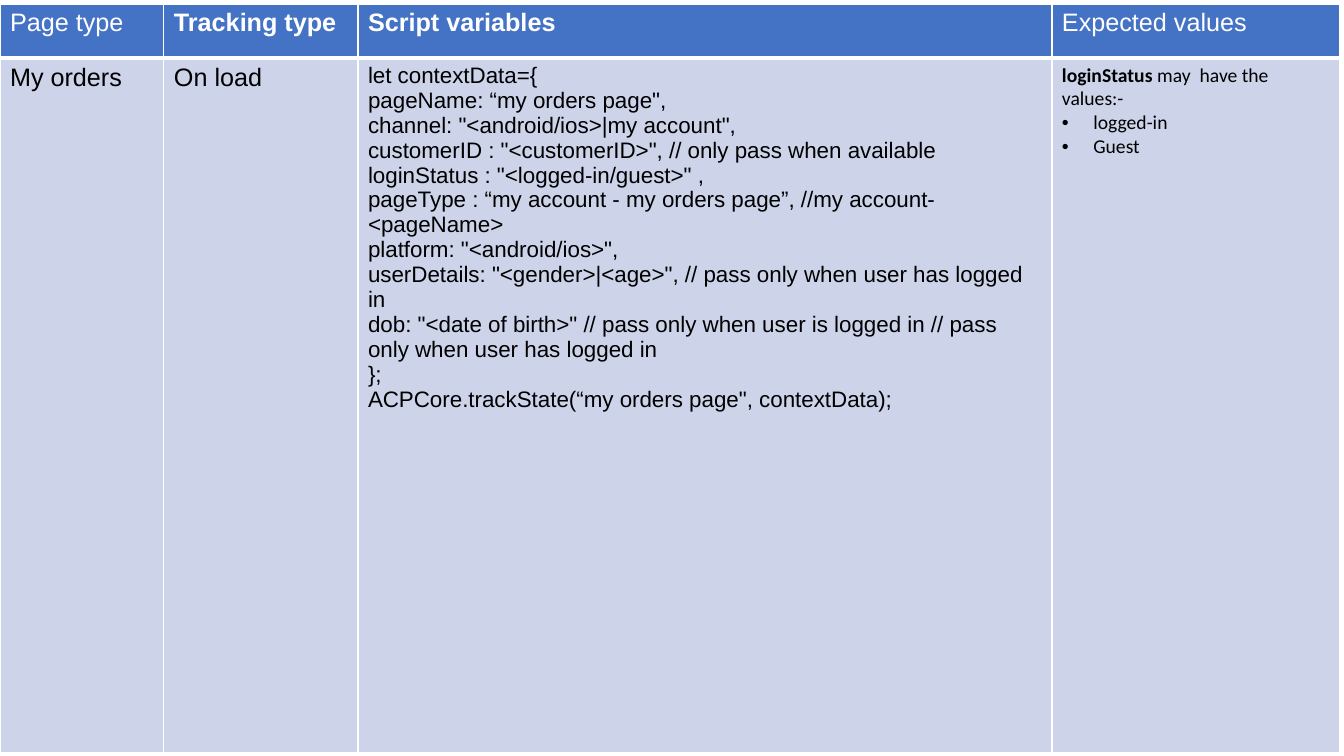
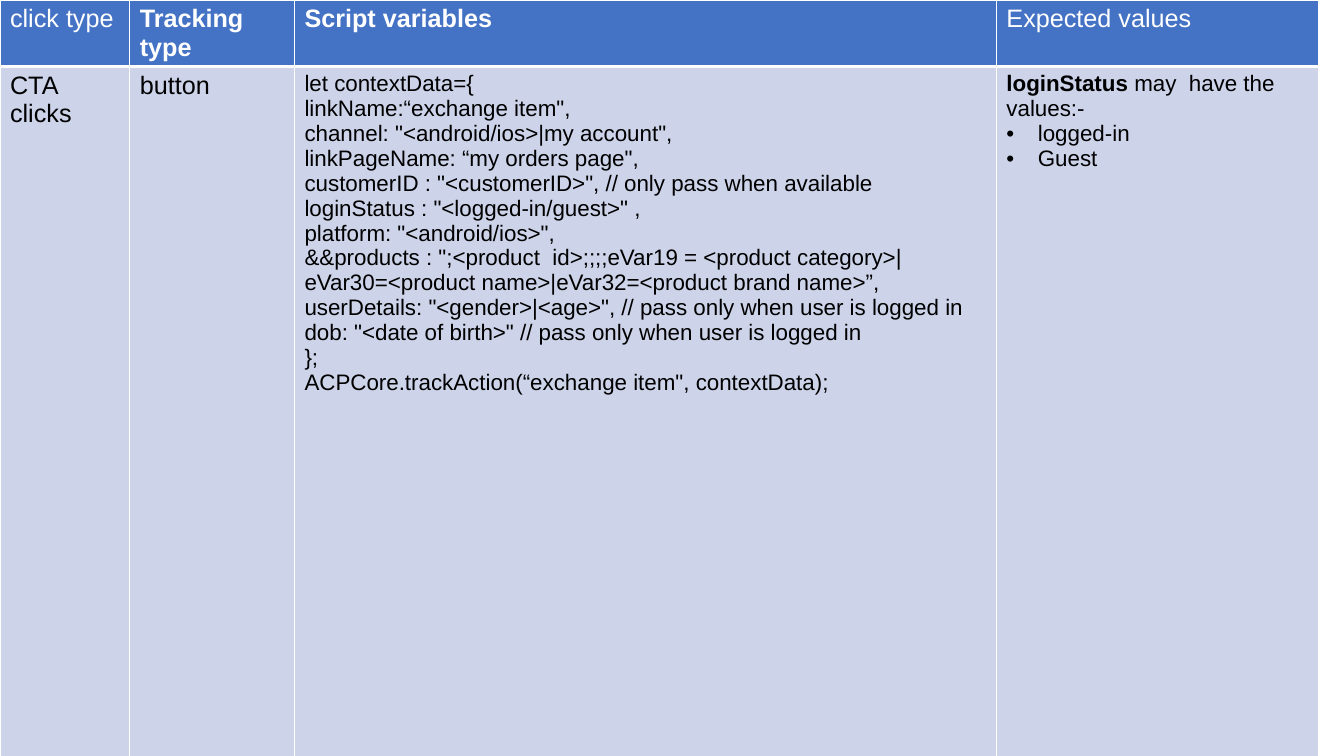
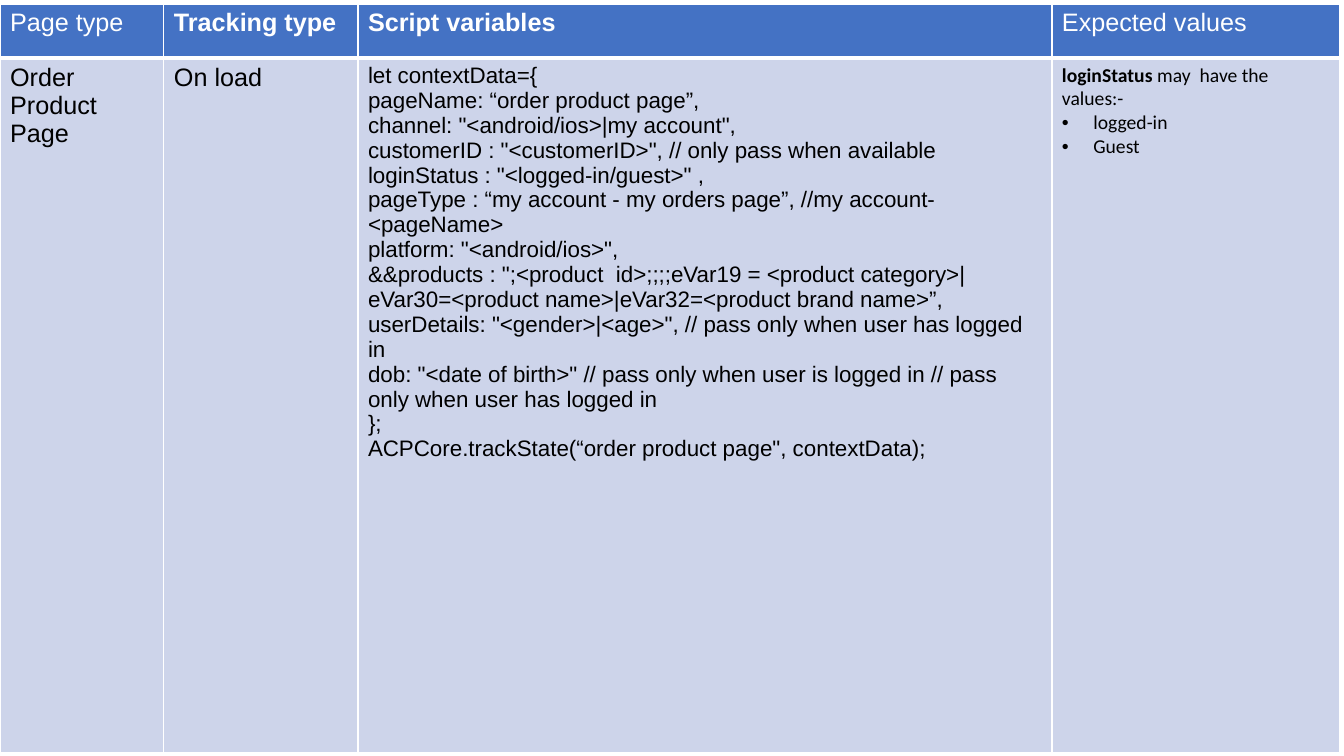
"""Build three slides that specify analytics tracking for an orders section."""
from dataclasses import dataclass

import lxml.etree
import pptx
import pptx.dml.color
import pptx.oxml.ns
import pptx.table
import pptx.text.text
import pptx.util
from pptx.util import Cm


@dataclass(frozen=True)
class Theme:
    header_fill: str = "4472C4"
    body_fill: str = "CDD4EA"
    header_text: str = "FFFFFF"
    body_text: str = "000000"
    border: str = "FFFFFF"
    font: str = "Arial"
    label_size: int = 18
    code_size: int = 16
    thin_border: int = 1
    thick_border: int = 3


@dataclass(frozen=True)
class TextStyle:
    size: int
    color: str
    font: str
    bold: bool = False


@dataclass(frozen=True)
class TableLayout:
    top: float
    column_widths: tuple[float, ...]


@dataclass(frozen=True)
class TrackingSlide:
    layout: TableLayout
    subject_heading: str
    subject: str
    trigger: str
    code: tuple[str, ...]
    values_style: TextStyle


THEME = Theme()
LABEL = TextStyle(THEME.label_size, THEME.body_text, THEME.font)
CODE = TextStyle(THEME.code_size, THEME.body_text, THEME.font)
SMALL_VALUES = TextStyle(14, THEME.body_text, "Calibri")
HEADER = TextStyle(THEME.label_size, THEME.header_text, THEME.font)
BOLD_HEADER = TextStyle(THEME.label_size, THEME.header_text, THEME.font, True)

ROW_HEIGHTS = (1.37, 17.5)
BULLET_INDENT = Cm(0.79)
PAGE_LAYOUT = TableLayout(0.1, (4.13, 4.89, 17.49, 7.26))
CLICK_LAYOUT = TableLayout(0, (3.27, 4.15, 17.69, 8.11))

OPENING = "let contextData={"
CHANNEL = 'channel: "<android/ios>|my account",'
CUSTOMER = (
    'customerID : "<customerID>", // only pass when available',
    'loginStatus : "<logged-in/guest>" ,',
)
PAGE_TYPE = "pageType : “my account - my orders page”, //my account-<pageName>"
PLATFORM = 'platform: "<android/ios>",'
PRODUCTS = (
    '&&products : ";<product  id>;;;;eVar19 = <product category>|'
    "eVar30=<product name>|eVar32=<product brand name>”,"
)
PAGE_USER = (
    'userDetails: "<gender>|<age>", // pass only when user has logged in',
    'dob: "<date of birth>" // pass only when user is logged in '
    "// pass only when user has logged in",
    "};",
)
CLICK_USER = (
    'userDetails: "<gender>|<age>", // pass only when user is logged in',
    'dob: "<date of birth>" // pass only when user is logged in',
    "};",
)

SLIDES = (
    TrackingSlide(
        PAGE_LAYOUT, "Page type", "My orders", "On load",
        (OPENING, 'pageName: “my orders page",', CHANNEL, *CUSTOMER,
         PAGE_TYPE, PLATFORM, *PAGE_USER,
         'ACPCore.trackState(“my orders page", contextData);'),
        SMALL_VALUES,
    ),
    TrackingSlide(
        CLICK_LAYOUT, "click type", "CTA clicks", "button",
        (OPENING, 'linkName:“exchange item",', CHANNEL,
         'linkPageName: “my orders page",', *CUSTOMER,
         PLATFORM, PRODUCTS, *CLICK_USER,
         'ACPCore.trackAction(“exchange item", contextData);'),
        CODE,
    ),
    TrackingSlide(
        PAGE_LAYOUT, "Page type", "Order Product Page", "On load",
        (OPENING, "pageName: “order product page”,", CHANNEL, *CUSTOMER,
         PAGE_TYPE, PLATFORM, PRODUCTS, *PAGE_USER,
         'ACPCore.trackState(“order product page", contextData);'),
        SMALL_VALUES,
    ),
)


def add_element(parent: lxml.etree._Element, tag: str, **attributes: str) -> lxml.etree._Element:
    return lxml.etree.SubElement(parent, pptx.oxml.ns.qn(tag), attributes)


def format_run(run: pptx.text.text._Run, style: TextStyle) -> None:
    run.font.size = pptx.util.Pt(style.size)
    run.font.name = style.font
    run.font.bold = style.bold
    run.font.color.rgb = pptx.dml.color.RGBColor.from_string(style.color)


def write_lines(cell: pptx.table._Cell, lines: tuple[str, ...], style: TextStyle) -> None:
    cell.text_frame.text = "\n".join(lines)
    for paragraph in cell.text_frame.paragraphs:
        for run in paragraph.runs:
            format_run(run, style)


def add_bullet(paragraph: pptx.text.text._Paragraph) -> None:
    properties = paragraph._p.get_or_add_pPr()
    properties.set("marL", str(BULLET_INDENT))
    properties.set("indent", str(-BULLET_INDENT))
    color = add_element(properties, "a:buClr")
    add_element(color, "a:srgbClr", val=THEME.body_text)
    add_element(properties, "a:buFont", typeface=THEME.font)
    add_element(properties, "a:buChar", char="•")


def write_expected_values(cell: pptx.table._Cell, style: TextStyle) -> None:
    write_lines(cell, ("loginStatus ", "logged-in", "Guest"), style)
    introduction, *options = cell.text_frame.paragraphs
    introduction.runs[0].font.bold = True
    explanation = introduction.add_run()
    explanation.text = "may  have the values:-"
    format_run(explanation, style)
    for option in options:
        add_bullet(option)


def style_cell(cell: pptx.table._Cell, fill: str, top: int, bottom: int) -> None:
    cell.fill.solid()
    cell.fill.fore_color.rgb = pptx.dml.color.RGBColor.from_string(fill)
    properties = cell._tc.get_or_add_tcPr()
    widths = {"L": THEME.thin_border, "R": THEME.thin_border, "T": top, "B": bottom}
    for position, (side, width) in enumerate(widths.items()):
        line = add_element(properties, f"a:ln{side}", w=str(pptx.util.Pt(width)))
        add_element(add_element(line, "a:solidFill"), "a:srgbClr", val=THEME.border)
        properties.insert(position, line)


def add_tracking_slide(presentation: pptx.presentation.Presentation, content: TrackingSlide) -> None:
    slide = presentation.slides.add_slide(presentation.slide_layouts[6])
    widths = content.layout.column_widths
    table = slide.shapes.add_table(
        len(ROW_HEIGHTS), len(widths), 0, Cm(content.layout.top),
        Cm(sum(widths)), Cm(sum(ROW_HEIGHTS)),
    ).table
    table.horz_banding = False
    for column, width in zip(table.columns, widths):
        column.width = Cm(width)
    for row, height in zip(table.rows, ROW_HEIGHTS):
        row.height = Cm(height)

    headings = (
        (content.subject_heading, HEADER),
        ("Tracking type", BOLD_HEADER),
        ("Script variables", BOLD_HEADER),
        ("Expected values", HEADER),
    )
    for index, (heading, style) in enumerate(headings):
        write_lines(table.cell(0, index), (heading,), style)
        style_cell(table.cell(0, index), THEME.header_fill, THEME.thin_border, THEME.thick_border)
        style_cell(table.cell(1, index), THEME.body_fill, THEME.thick_border, THEME.thin_border)

    write_lines(table.cell(1, 0), (content.subject,), LABEL)
    write_lines(table.cell(1, 1), (content.trigger,), LABEL)
    write_lines(table.cell(1, 2), content.code, CODE)
    write_expected_values(table.cell(1, 3), content.values_style)


def main() -> None:
    presentation = pptx.Presentation()
    presentation.slide_width = Cm(33.87)
    presentation.slide_height = Cm(19.05)
    for content in SLIDES:
        add_tracking_slide(presentation, content)
    presentation.save("out.pptx")


if __name__ == "__main__":
    main()
